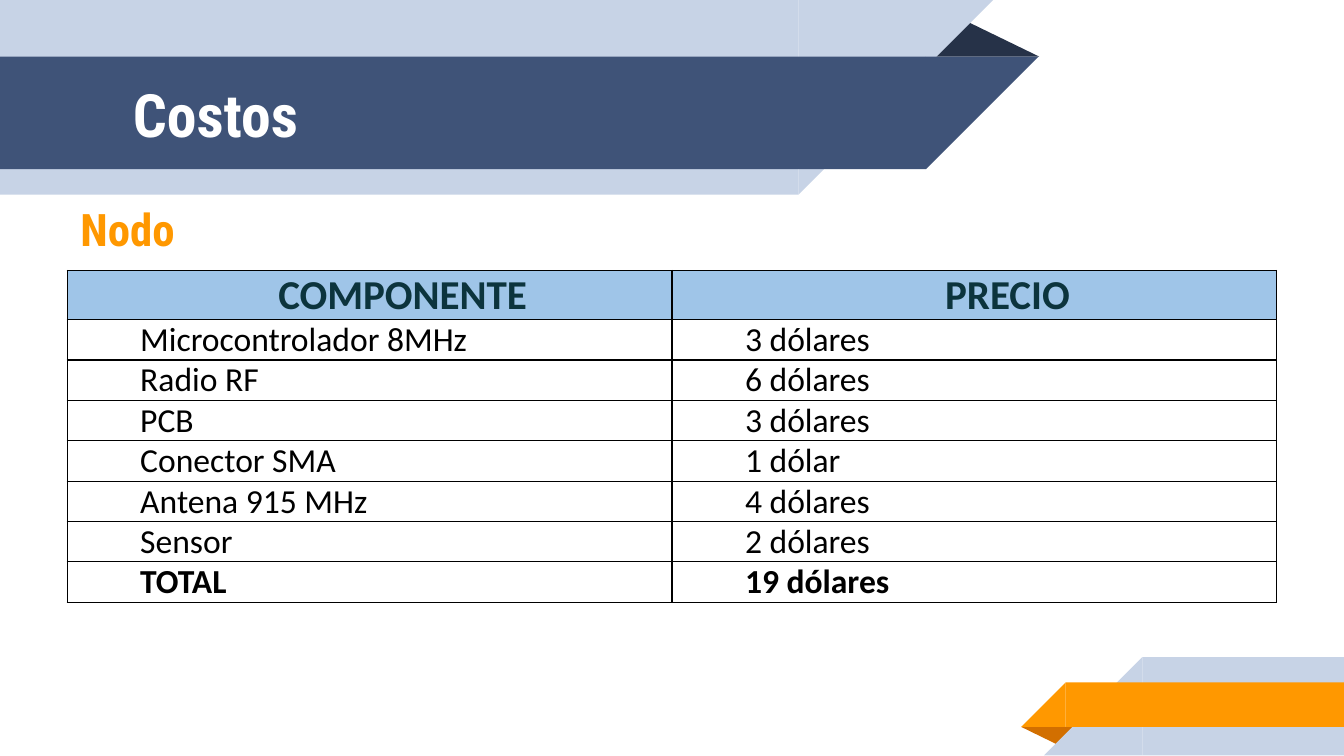
import pptx
import pptx.dml.color
import pptx.enum.shapes
import pptx.enum.text
import pptx.oxml
import pptx.oxml.ns
import pptx.util

Cm = pptx.util.Cm
Pt = pptx.util.Pt
RGBColor = pptx.dml.color.RGBColor
Shape = pptx.enum.shapes.MSO_SHAPE
Anchor = pptx.enum.text.MSO_ANCHOR
Align = pptx.enum.text.PP_ALIGN

WHITE = RGBColor(0xFF, 0xFF, 0xFF)
BLACK = RGBColor(0x00, 0x00, 0x00)
NAVY = RGBColor(0x3F, 0x53, 0x78)
DARK_NAVY = RGBColor(0x26, 0x32, 0x48)
PALE_BLUE = RGBColor(0xC7, 0xD3, 0xE6)
ORANGE = RGBColor(0xFF, 0x98, 0x00)
DARK_ORANGE = RGBColor(0xD2, 0x6F, 0x00)
HEADER_BLUE = RGBColor(0x9F, 0xC5, 0xE8)
HEADER_TEXT = RGBColor(0x0C, 0x34, 0x3D)

COSTS = [
    ("COMPONENTE", "PRECIO"),
    ("Microcontrolador 8MHz", "3 dólares"),
    ("Radio RF", "6 dólares"),
    ("PCB", "3 dólares"),
    ("Conector SMA", "1 dólar"),
    ("Antena 915 MHz", "4 dólares"),
    ("Sensor", "2 dólares"),
    ("TOTAL", "19 dólares"),
]


def add_plain_shape(page, kind, left, top, width, height, colour, rotation=0):
    shape = page.shapes.add_shape(kind, Cm(left), Cm(top), Cm(width), Cm(height))
    shape.shadow.inherit = False
    shape.fill.solid()
    shape.fill.fore_color.rgb = colour
    shape.line.fill.background()
    shape.rotation = rotation
    return shape


def add_fold(page, left, top, width, height, colour, rotation=0):
    fold = add_plain_shape(page, Shape.ISOSCELES_TRIANGLE, left, top, width, height,
                           colour, rotation)
    fold.adjustments[0] = 0.324


def add_ribbon(page, left, top, width, height, colour, tip_on_right):
    """Draw a band with a 45 degree tip as wide as the band is high."""
    add_plain_shape(page, Shape.RECTANGLE, left, top, width, height, colour)
    tip_left = left + width if tip_on_right else left - height
    add_plain_shape(page, Shape.RIGHT_TRIANGLE, tip_left, top, height, height, colour,
                    90 if tip_on_right else 270)


def write(para, text, *, size, colour, font, bold=False, align=Align.LEFT):
    para.alignment = align
    span = para.add_run()
    span.text = text
    span.font.size = Pt(size)
    span.font.name = font
    span.font.bold = bold
    span.font.color.rgb = colour


def add_heading(page, left, top, width, height, text, **style):
    box = page.shapes.add_textbox(Cm(left), Cm(top), Cm(width), Cm(height))
    frame = box.text_frame
    frame.word_wrap = True
    frame.vertical_anchor = Anchor.MIDDLE
    frame.margin_left = frame.margin_right = Cm(0.25)
    frame.margin_top = frame.margin_bottom = Cm(0.25)
    write(frame.paragraphs[0], text, font="Roboto Condensed", bold=True, **style)


def add_borders(cell):
    properties = cell._tc.get_or_add_tcPr()
    for position, side in enumerate(("lnL", "lnR", "lnT", "lnB")):
        border = pptx.oxml.parse_xml(
            f'<a:{side} {pptx.oxml.ns.nsdecls("a")} w="{Pt(0.75)}">'
            f'<a:solidFill><a:srgbClr val="{BLACK}"/></a:solidFill></a:{side}>')
        properties.insert(position, border)


def fill_cell(cell, text, *, header, bold):
    cell.margin_left = cell.margin_right = Cm(0.13)
    cell.margin_top = cell.margin_bottom = 0
    cell.vertical_anchor = Anchor.MIDDLE if header else Anchor.BOTTOM
    if header:
        cell.fill.solid()
        cell.fill.fore_color.rgb = HEADER_BLUE
    else:
        cell.fill.background()
    add_borders(cell)
    para = cell.text_frame.paragraphs[0]
    para._p.get_or_add_pPr().set("indent", str(Cm(1.25)))
    write(para, text, font="Calibri", bold=bold,
          size=22 if header else 18,
          colour=HEADER_TEXT if header else BLACK,
          align=Align.CENTER if header else Align.LEFT)


def add_cost_table(page, left, top, column_width, row_height):
    columns = len(COSTS[0])
    table = page.shapes.add_table(
        len(COSTS), columns, Cm(left), Cm(top),
        Cm(column_width * columns), Cm(row_height * len(COSTS))).table
    table.first_row = table.horz_banding = False
    last = len(COSTS) - 1
    for row, values in enumerate(COSTS):
        for column, text in enumerate(values):
            fill_cell(table.cell(row, column), text,
                      header=row == 0, bold=row in (0, last))


def main():
    deck = pptx.Presentation()
    deck.slide_width, deck.slide_height = Cm(25.4), Cm(14.29)
    page = deck.slides.add_slide(deck.slide_layouts[6])

    add_fold(page, 17.48, 0.36, 2.16, 0.71, DARK_NAVY)
    add_ribbon(page, 0, 0, 15.09, 3.68, PALE_BLUE, tip_on_right=True)
    add_ribbon(page, 0, 1.07, 17.5, 2.13, NAVY, tip_on_right=True)

    add_fold(page, 19.3, 13.74, 1.09, 0.36, DARK_ORANGE, rotation=180)
    add_ribbon(page, 21.59, 12.42, 3.81, 1.86, PALE_BLUE, tip_on_right=False)
    add_ribbon(page, 20.14, 12.9, 5.26, 0.84, ORANGE, tip_on_right=False)

    add_heading(page, 2.26, 1.09, 14.6, 2.13, "Costos", size=32, colour=WHITE)
    add_cost_table(page, 1.27, 5.11, column_width=11.43, row_height=0.76)
    add_heading(page, 1.27, 3.53, 7.11, 1.57, "Nodo", size=24, colour=ORANGE)

    deck.save("out.pptx")


if __name__ == "__main__":
    main()
